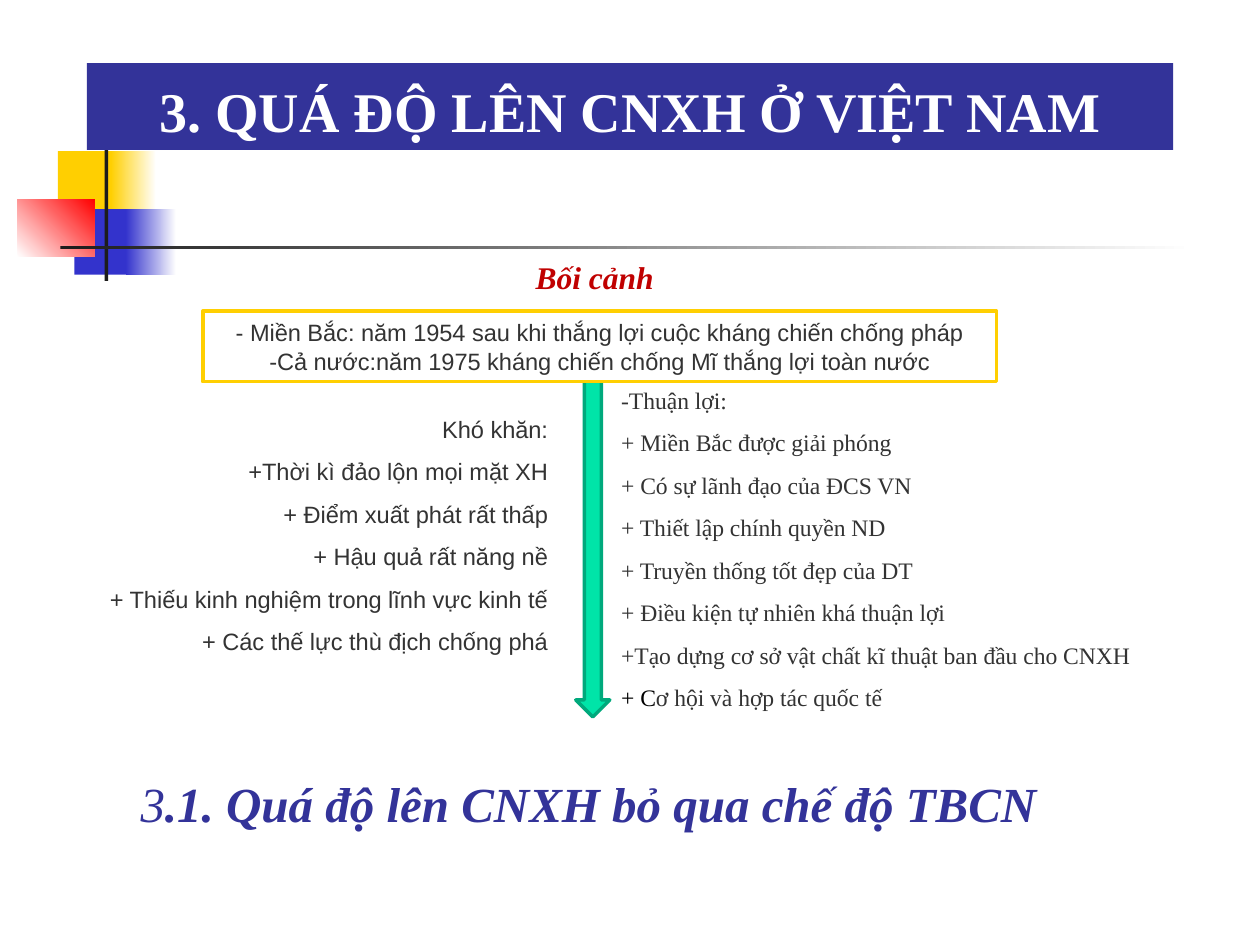
from dataclasses import dataclass
from typing import Optional

from lxml.etree import SubElement
from pptx import Presentation
from pptx.dml.color import RGBColor
from pptx.enum.shapes import MSO_SHAPE as Shape
from pptx.enum.text import MSO_ANCHOR as Anchor, MSO_AUTO_SIZE as AutoSize, PP_ALIGN as Align
from pptx.oxml.ns import qn
from pptx.util import Inches, Pt

COLORS = {
    "white": "FFFFFF", "yellow": "FFCF01", "blue": "3333CC", "red": "FF0000",
    "black": "000000", "ink": "1C1C1C", "navy": "333399", "crimson": "C00000",
    "text": "333333", "green": "00E4A8", "dark_green": "00A97C",
}
SERIF, SANS = "Times New Roman", "Arial"


@dataclass
class Frame:
    left: float
    top: float
    width: float
    height: float

    def lengths(self) -> list:
        return [Inches(n) for n in (self.left, self.top, self.width, self.height)]


@dataclass
class Block:
    frame: Frame
    color: str
    end_color: Optional[str] = None
    angle: float = 0


@dataclass
class Style:
    font: str
    size: float
    color: str
    align: Align
    spacing: float = 1.0
    bold: bool = False
    italic: bool = False


@dataclass
class Span:
    text: str
    bold: Optional[bool] = None
    color: Optional[str] = None


BLOCKS = [
    Block(Frame(0.46, 1.2, 0.48, 0.52), "yellow"),
    Block(Frame(0.88, 1.2, 0.36, 0.52), "yellow", "white"),
    Block(Frame(0.59, 1.66, 0.46, 0.52), "blue"),
    Block(Frame(1, 1.66, 0.4, 0.52), "blue", "white"),
    Block(Frame(0.14, 1.58, 0.61, 0.46), "white", "red", 45),
    Block(Frame(0.83, 1.08, 0.03, 1.15), "ink"),
    Block(Frame(0.48, 1.95, 9, 0.03), "ink", "white"),
]
CONTEXT = [
    [Span("- Miền Bắc: năm 1954 sau khi thắng lợi cuộc kháng chiến chống pháp")],
    [Span("-Cả nước:năm 1975 kháng chiến chống Mĩ thắng lợi toàn nước")],
]
ADVANTAGES = [
    [Span("-Thuận lợi:")],
    [Span("+ Miền Bắc được giải phóng")],
    [Span("+ Có sự lãnh đạo của ĐCS VN")],
    [Span("+ Thiết lập chính quyền ND")],
    [Span("+ Truyền thống tốt đẹp của DT")],
    [Span("+ Điều kiện tự nhiên khá thuận lợi")],
    [Span("+Tạo dựng cơ sở vật chất kĩ thuật ban đầu cho CNXH")],
    [Span("+ C", color="black"), Span("ơ hội và hợp tác quốc tế")],
]
DIFFICULTIES = [
    [Span("Khó khăn:")],
    [Span("+Thời kì đảo lộn mọi mặt XH")],
    [Span("+ Điểm xuất phát rất thấp")],
    [Span("+ Hậu quả rất năng nề")],
    [Span("+ Thiếu kinh nghiệm trong lĩnh vực kinh tế")],
    [Span("+ Các thế lực thù địch chống phá")],
]


def rgb(name: str) -> RGBColor:
    return RGBColor.from_string(COLORS[name])


def place(shape, frame: Frame) -> None:
    shape.left, shape.top, shape.width, shape.height = frame.lengths()


def fill_solid(shape, color: str) -> None:
    shape.fill.solid()
    shape.fill.fore_color.rgb = rgb(color)


def add_shape(page, kind: Shape, frame: Frame, color: str, line: Optional[str] = None):
    shape = page.shapes.add_shape(kind, *frame.lengths())
    shape.shadow.inherit = False
    fill_solid(shape, color)
    if line:
        shape.line.color.rgb = rgb(line)
        shape.line.width = Pt(2)
    else:
        shape.line.fill.background()
    return shape


def add_block(page, block: Block):
    shape = add_shape(page, Shape.RECTANGLE, block.frame, block.color)
    if block.end_color:
        shape.fill.gradient()
        shape.fill.gradient_angle = block.angle
        for stop, color in zip(shape.fill.gradient_stops, (block.color, block.end_color)):
            stop.color.rgb = rgb(color)
    return shape


def write(shape, lines: list[list[Span]], style: Style, anchor: Anchor = Anchor.TOP) -> None:
    text = shape.text_frame
    text.word_wrap = True
    text.auto_size = AutoSize.NONE
    text.vertical_anchor = anchor
    for index, line in enumerate(lines):
        para = text.paragraphs[0] if index == 0 else text.add_paragraph()
        if shape.is_placeholder:
            properties = para._p.get_or_add_pPr()
            properties.set("marL", "0")
            properties.set("indent", "0")
            SubElement(properties, qn("a:buNone"))
        para.alignment = style.align
        para.line_spacing = style.spacing
        para.space_before = Pt(0)
        para.font.name = style.font
        para.font.size = Pt(style.size)
        para.font.bold = style.bold
        para.font.italic = style.italic
        para.font.color.rgb = rgb(style.color)
        for span in line:
            run = para.add_run()
            run.text = span.text
            if span.bold is not None:
                run.font.bold = span.bold
            if span.color:
                run.font.color.rgb = rgb(span.color)


def add_heading(page, frame: Frame, spans: list[Span], style: Style) -> None:
    box = page.shapes.add_textbox(*frame.lengths())
    text = box.text_frame
    text.margin_left = text.margin_right = Inches(0.07)
    text.margin_top = text.margin_bottom = Inches(0.04)
    write(box, [spans], style, Anchor.MIDDLE)


def main() -> None:
    deck = Presentation()
    deck.slide_width, deck.slide_height = Inches(10), Inches(7.5)
    page = deck.slides.add_slide(deck.slide_layouts[3])

    blocks = [add_block(page, block) for block in BLOCKS]
    title, difficulties, advantages = list(page.placeholders)[:3]
    blocks[-1].element.addnext(title.element)
    place(title, Frame(0.69, 0.5, 8.62, 0.69))
    fill_solid(title, "navy")
    write(title, [[Span("3. QUÁ ĐỘ LÊN CNXH Ở VIỆT NAM")]],
          Style(SERIF, 32, "white", Align.CENTER, bold=True), Anchor.BOTTOM)

    add_heading(page, Frame(0.67, 6.06, 8, 0.69),
                [Span("3"), Span(".1. Quá độ lên CNXH bỏ qua chế độ TBCN", bold=True)],
                Style(SERIF, 28, "navy", Align.CENTER, 0.9, italic=True))
    add_heading(page, Frame(4.08, 2.04, 1.28, 0.36), [Span("Bối cảnh")],
                Style(SERIF, 18, "crimson", Align.CENTER, 0.9, bold=True, italic=True))

    add_shape(page, Shape.DOWN_ARROW, Frame(4.57, 2.84, 0.27, 2.85), "green", "dark_green")
    context = add_shape(page, Shape.RECTANGLE, Frame(1.61, 2.47, 6.3, 0.56), "white", "yellow")
    write(context, CONTEXT, Style(SANS, 13.5, "text", Align.CENTER), Anchor.MIDDLE)

    place(advantages, Frame(4.83, 2.9, 4.53, 2.83))
    write(advantages, ADVANTAGES, Style(SERIF, 13.5, "text", Align.LEFT, 1.5))
    place(difficulties, Frame(0.71, 3.13, 3.74, 2.15))
    write(difficulties, DIFFICULTIES, Style(SANS, 13.5, "text", Align.RIGHT, 1.5))

    deck.save("out.pptx")


if __name__ == "__main__":
    main()
